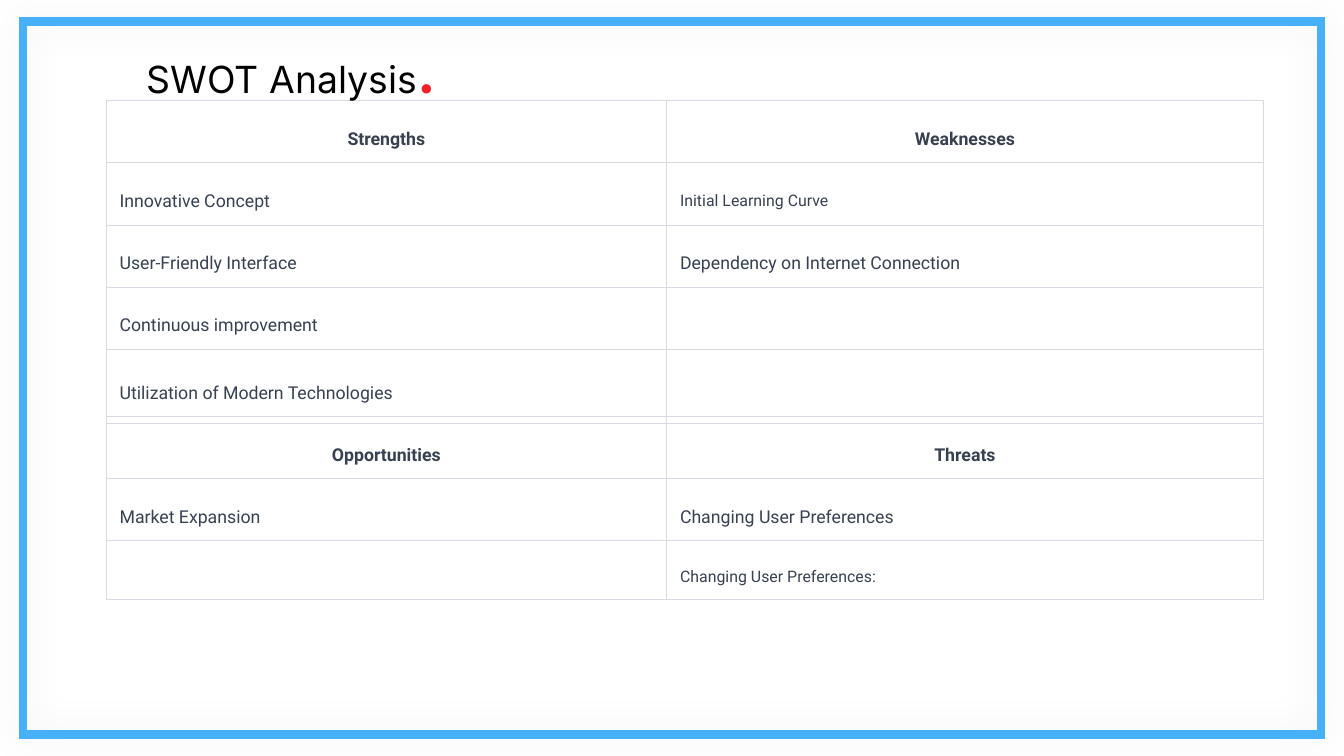
from pptx import Presentation
from pptx.dml.color import RGBColor
from pptx.enum.shapes import MSO_SHAPE as SHAPE
from pptx.enum.text import MSO_ANCHOR as ANCHOR, MSO_AUTO_SIZE as FIT, PP_ALIGN as ALIGN
from pptx.oxml import parse_xml
from pptx.oxml.ns import nsdecls
from pptx.util import Inches, Pt

BLUE = RGBColor(0x46, 0xB0, 0xF9)
RED = RGBColor(0xED, 0x21, 0x27)
BLACK = RGBColor(0x00, 0x00, 0x00)
SLATE = RGBColor(0x37, 0x41, 0x51)
GRID = RGBColor(0xD9, 0xD9, 0xE3)

WIDTH = Inches(10)
HEIGHT = WIDTH * 9 // 16
TABLE_LEFT = Inches(0.79)
COLS = (4.17, 4.44)
PAD = Inches(0.1)
BODY, SMALL = Pt(9.5), Pt(8.5)
SMALL_ITEMS = {"Initial Learning Curve", "Changing User Preferences:"}

UPPER = [
    ("Strengths", "Weaknesses"),
    ("Innovative Concept", "Initial Learning Curve"),
    ("User-Friendly Interface", "Dependency on Internet Connection"),
    ("Continuous improvement", ""),
    ("Utilization of Modern Technologies", ""),
]
LOWER = [
    ("Opportunities", "Threats"),
    ("Market Expansion", "Changing User Preferences"),
    ("", "Changing User Preferences:"),
]


def set_attrs(obj, values):
    for name, value in values.items():
        setattr(obj, name, value)


def add_run(p, text, color, **font):
    r = p.add_run()
    r.text = text
    set_attrs(r.font, font)
    r.font.color.rgb = color


def add_frame(slide):
    x, y = Inches(0.17), Inches(0.16)
    sp = slide.shapes.add_shape(SHAPE.RECTANGLE, x, y, WIDTH - 2 * x, HEIGHT - 2 * y)
    sp.fill.background()
    sp.line.color.rgb = BLUE
    sp.line.width = Pt(4.5)
    sp.line._get_or_add_ln().append(parse_xml(f'<a:miter {nsdecls("a")} lim="800000"/>'))
    sp._element.spPr.append(parse_xml(
        f'<a:effectLst {nsdecls("a")}><a:outerShdw blurRad="{Pt(20)}" dist="0" dir="0">'
        '<a:srgbClr val="000000"><a:alpha val="7000"/></a:srgbClr>'
        '</a:outerShdw></a:effectLst>'))


def add_borders(cell):
    tcPr = cell._tc.get_or_add_tcPr()
    for i, side in enumerate(("lnL", "lnR", "lnT", "lnB")):
        tcPr.insert(i, parse_xml(
            f'<a:{side} {nsdecls("a")} w="{Pt(0.6)}"><a:solidFill>'
            f'<a:srgbClr val="{GRID}"/></a:solidFill></a:{side}>'))


def fill_cell(cell, text, header):
    cell.fill.background()
    set_attrs(cell, {
        "margin_left": PAD, "margin_right": PAD,
        "margin_top": PAD, "margin_bottom": PAD,
        "vertical_anchor": ANCHOR.BOTTOM if header else ANCHOR.MIDDLE,
    })
    add_borders(cell)
    p = cell.text_frame.paragraphs[0]
    if not text:
        p._p.append(parse_xml(f'<a:endParaRPr {nsdecls("a")} sz="800"/>'))
        return
    set_attrs(p, {"line_spacing": 1.71, "alignment": ALIGN.CENTER if header else ALIGN.LEFT})
    size = SMALL if text in SMALL_ITEMS else BODY
    add_run(p, text, SLATE, size=size, name="Roboto", bold=header)


def add_grid(slide, top, heights, rows):
    sp = slide.shapes.add_table(len(rows), len(COLS), TABLE_LEFT, Inches(top),
                                Inches(sum(COLS)), Inches(sum(heights)))
    table = sp.table
    set_attrs(table, {"first_row": False, "horz_banding": False})
    for col, width in zip(table.columns, COLS):
        col.width = Inches(width)
    for i, (height, texts) in enumerate(zip(heights, rows)):
        table.rows[i].height = Inches(height)
        for j, text in enumerate(texts):
            fill_cell(table.cell(i, j), text, i == 0)


def add_title(slide):
    sp = slide.shapes.add_textbox(Inches(0.99), Inches(0.18), WIDTH * 0.74, Inches(0.71))
    tf = sp.text_frame
    set_attrs(tf, {
        "word_wrap": True, "auto_size": FIT.SHAPE_TO_FIT_TEXT,
        "margin_left": PAD, "margin_right": PAD,
        "margin_top": PAD, "margin_bottom": PAD,
    })
    p = tf.paragraphs[0]
    add_run(p, "SWOT Analysis", BLACK, size=Pt(20), name="Inter")
    add_run(p, ".", RED, size=Pt(30), name="Inter", bold=True)


def main():
    prs = Presentation()
    set_attrs(prs, {"slide_width": WIDTH, "slide_height": HEIGHT})
    slide = prs.slides.add_slide(prs.slide_layouts[6])
    add_frame(slide)
    add_grid(slide, 3.1, [0.43] * 3, LOWER)
    add_grid(slide, 0.75, [0.41] + [0.44] * 3 + [0.55], UPPER)
    add_title(slide)
    prs.save("out.pptx")


if __name__ == "__main__":
    main()
